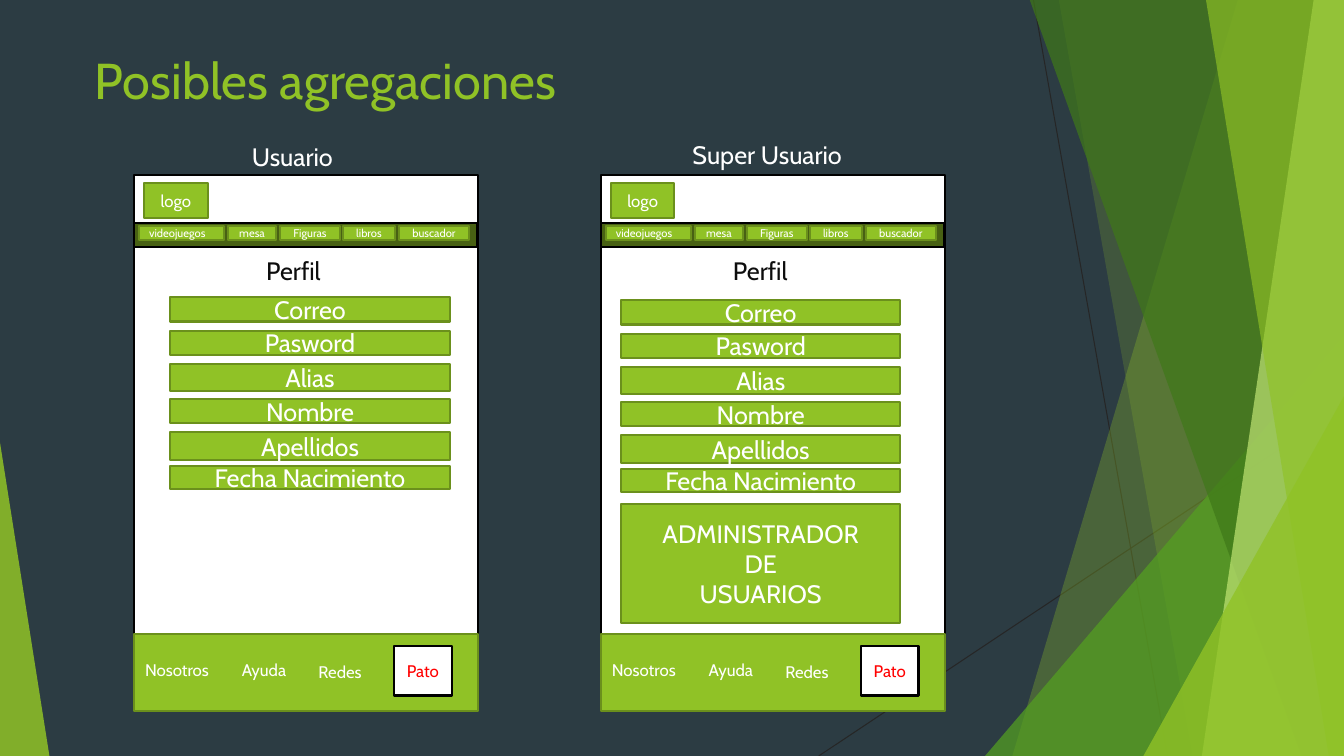
import pptx
import pptx.dml.color
import pptx.enum.shapes
import pptx.enum.text
import pptx.oxml.ns
import pptx.util
from lxml import etree
from pptx.util import Inches

RGBColor = pptx.dml.color.RGBColor
Align = pptx.enum.text.PP_ALIGN
Anchor = pptx.enum.text.MSO_ANCHOR
Preset = pptx.enum.shapes.MSO_SHAPE

SLATE = RGBColor(0x2C, 0x3C, 0x43)
LIME = RGBColor(0x90, 0xC2, 0x26)
LIME_EDGE = RGBColor(0x6B, 0x90, 0x1C)
OLIVE = RGBColor(0x48, 0x61, 0x13)
GRASS = RGBColor(0x54, 0xA0, 0x21)
FOREST = RGBColor(0x3F, 0x78, 0x19)
PALE = RGBColor(0xC0, 0xE4, 0x74)
CHARCOAL = RGBColor(0x26, 0x26, 0x26)
INK = RGBColor(0x0D, 0x0D, 0x0D)
BLACK = RGBColor(0, 0, 0)
WHITE = RGBColor(0xFF, 0xFF, 0xFF)
RED = RGBColor(0xFF, 0, 0)

FONT = "Cabin"
WIDTH, HEIGHT = 13.33, 7.5
USER_LEFT, SUPER_LEFT = 1.33, 5.96
TABS = [("videojuegos", 0.05, 0.84), ("mesa", 0.93, 0.48), ("Figuras", 1.45, 0.59),
        ("libros", 2.07, 0.52), ("buscador", 2.63, 0.69)]
FIELDS = [("Correo", 0, 0.24), ("Pasword", 0.33, 0.24), ("Alias", 0.66, 0.27),
          ("Nombre", 1.01, 0.24), ("Apellidos", 1.34, 0.27), ("Fecha Nacimiento", 1.67, 0.23)]
FOOTER_LINKS = [("Nosotros", 0.01, 6.5, 0.88, False), ("Ayuda", 0.97, 6.5, 0.77, True),
                ("Redes", 1.73, 6.52, 0.69, True)]


def write_text(frame, text, size=18, color=WHITE, align=Align.LEFT):
    """Fill a text frame, one paragraph per line of text."""
    frame.text = text
    for paragraph in frame.paragraphs:
        paragraph.alignment = align
        paragraph.font.name = FONT
        paragraph.font.size = pptx.util.Pt(size)
        paragraph.font.color.rgb = color


def fill_facet(shape, color, opacity):
    """Give a decorative facet a translucent fill without outline."""
    shape.shadow.inherit = False
    shape.line.fill.background()
    shape.fill.solid()
    shape.fill.fore_color.rgb = color
    color_element = shape.fill._xPr.find(".//" + pptx.oxml.ns.qn("a:srgbClr"))
    alpha = etree.SubElement(color_element, pptx.oxml.ns.qn("a:alpha"))
    alpha.set("val", str(opacity * 1000))


def add_band(slide, top_left, bottom_left, color, opacity):
    """Draw a slanted band that reaches the right edge of the slide."""
    builder = slide.shapes.build_freeform(Inches(top_left), Inches(-0.01))
    corners = [(WIDTH, -0.01), (WIDTH, HEIGHT), (bottom_left, HEIGHT)]
    builder.add_line_segments([(Inches(x), Inches(y)) for x, y in corners], close=True)
    fill_facet(builder.convert_to_shape(), color, opacity)


def add_triangle(slide, left, top, width, apex, color, opacity):
    """Draw a triangle that stands on the bottom edge of the slide."""
    shape = slide.shapes.add_shape(Preset.ISOSCELES_TRIANGLE, Inches(left), Inches(top),
                                   Inches(width), Inches(HEIGHT - top))
    shape.adjustments[0] = apex
    fill_facet(shape, color, opacity)


def add_thin_line(slide, start, end):
    """Draw a hairline between two points."""
    line = slide.shapes.add_connector(pptx.enum.shapes.MSO_CONNECTOR.STRAIGHT,
                                      *map(Inches, start + end))
    line.line.color.rgb = CHARCOAL
    line.line.width = pptx.util.Pt(0.75)
    etree.SubElement(line._element.spPr, pptx.oxml.ns.qn("a:effectLst"))


def add_box(slide, left, top, width, height, text="", fill=LIME, edge=LIME_EDGE,
            size=18, color=WHITE, align=Align.CENTER):
    """Draw an outlined rectangle with optional text."""
    shape = slide.shapes.add_shape(Preset.RECTANGLE, Inches(left), Inches(top),
                                   Inches(width), Inches(height))
    shape.shadow.inherit = False
    shape.fill.solid()
    shape.fill.fore_color.rgb = fill
    shape.line.color.rgb = edge
    shape.line.width = pptx.util.Pt(1.5)
    if text:
        shape.text_frame.vertical_anchor = Anchor.MIDDLE
        write_text(shape.text_frame, text, size=size, color=color, align=align)


def add_label(slide, left, top, width, height, text, size=18, color=WHITE, wrap=False):
    """Place a text box."""
    box = slide.shapes.add_textbox(Inches(left), Inches(top), Inches(width), Inches(height))
    box.text_frame.word_wrap = wrap
    box.text_frame.auto_size = pptx.enum.text.MSO_AUTO_SIZE.SHAPE_TO_FIT_TEXT
    write_text(box.text_frame, text, size=size, color=color)


def add_decoration(slide):
    """Draw the faceted green backdrop."""
    add_thin_line(slide, (10.25, 0), (11.58, HEIGHT))
    add_thin_line(slide, (WIDTH, 4.03), (8.12, HEIGHT))
    add_band(slide, 12.28, 10.04, LIME, 30)
    add_band(slide, 10.5, 11.83, LIME, 20)
    add_triangle(slide, 9.77, 3.33, 3.56, 1, GRASS, 72)
    add_band(slide, 10.21, 12.91, FOREST, 70)
    add_band(slide, 13.03, 11.92, PALE, 70)
    add_band(slide, 11.96, 13.18, LIME, 65)
    add_triangle(slide, 11.34, 3.93, 1.99, 1, LIME, 80)
    add_triangle(slide, 0, 4.39, 0.49, 0, LIME, 85)


def add_title(slide, text):
    """Format and fill the title placeholder."""
    title = slide.shapes.title
    title.left, title.top = Inches(0.84), Inches(0.35)
    title.width, title.height = Inches(10.38), Inches(0.79)
    title.text_frame.auto_size = pptx.enum.text.MSO_AUTO_SIZE.NONE
    title.text_frame.vertical_anchor = Anchor.BOTTOM
    write_text(title.text_frame, text, size=36, color=LIME)


def add_page_frame(slide, left):
    """Draw the header, tabs and footer shared by the profile pages."""
    add_box(slide, left, 1.74, 3.41, 5.3, fill=WHITE, edge=BLACK)
    add_box(slide, left + 0.1, 1.82, 0.63, 0.34, "logo", size=12)
    add_box(slide, left, 2.21, 3.4, 0.24, fill=OLIVE, edge=BLACK)
    for text, offset, width in TABS:
        align = Align.LEFT if text == "videojuegos" else Align.CENTER
        add_box(slide, left + offset, 2.24, width, 0.14, text, size=8, align=align)
    add_label(slide, left + 1.21, 2.48, 0.81, 0.4, "Perfil", color=INK)
    add_box(slide, left, 6.29, 3.41, 0.76)
    for text, offset, top, width, wrap in FOOTER_LINKS:
        add_label(slide, left + offset, top, width, 0.3, text, size=12, wrap=wrap)
    add_box(slide, left + 2.58, 6.41, 0.57, 0.49, "Pato",
            fill=WHITE, edge=BLACK, size=12, color=RED)


def add_fields(slide, left, top):
    """Stack the profile fields."""
    for text, offset, height in FIELDS:
        add_box(slide, left, top + offset, 2.77, height, text)


def main():
    """Build and save the presentation."""
    presentation = pptx.Presentation()
    presentation.slide_width = Inches(WIDTH)
    presentation.slide_height = Inches(HEIGHT)
    slide = presentation.slides.add_slide(presentation.slide_layouts[5])
    slide.background.fill.solid()
    slide.background.fill.fore_color.rgb = SLATE

    add_decoration(slide)
    add_title(slide, "Posibles agregaciones")
    for left in (USER_LEFT, SUPER_LEFT):
        add_page_frame(slide, left)
    add_fields(slide, 1.69, 2.95)
    add_fields(slide, 6.16, 2.98)
    add_box(slide, 6.16, 5, 2.77, 1.18, "ADMINISTRADOR\nDE\nUSUARIOS")
    add_label(slide, 2.4, 1.35, 1.09, 0.4, "Usuario")
    add_label(slide, 6.77, 1.33, 1.84, 0.4, "Super Usuario")
    presentation.save("out.pptx")


if __name__ == "__main__":
    main()
